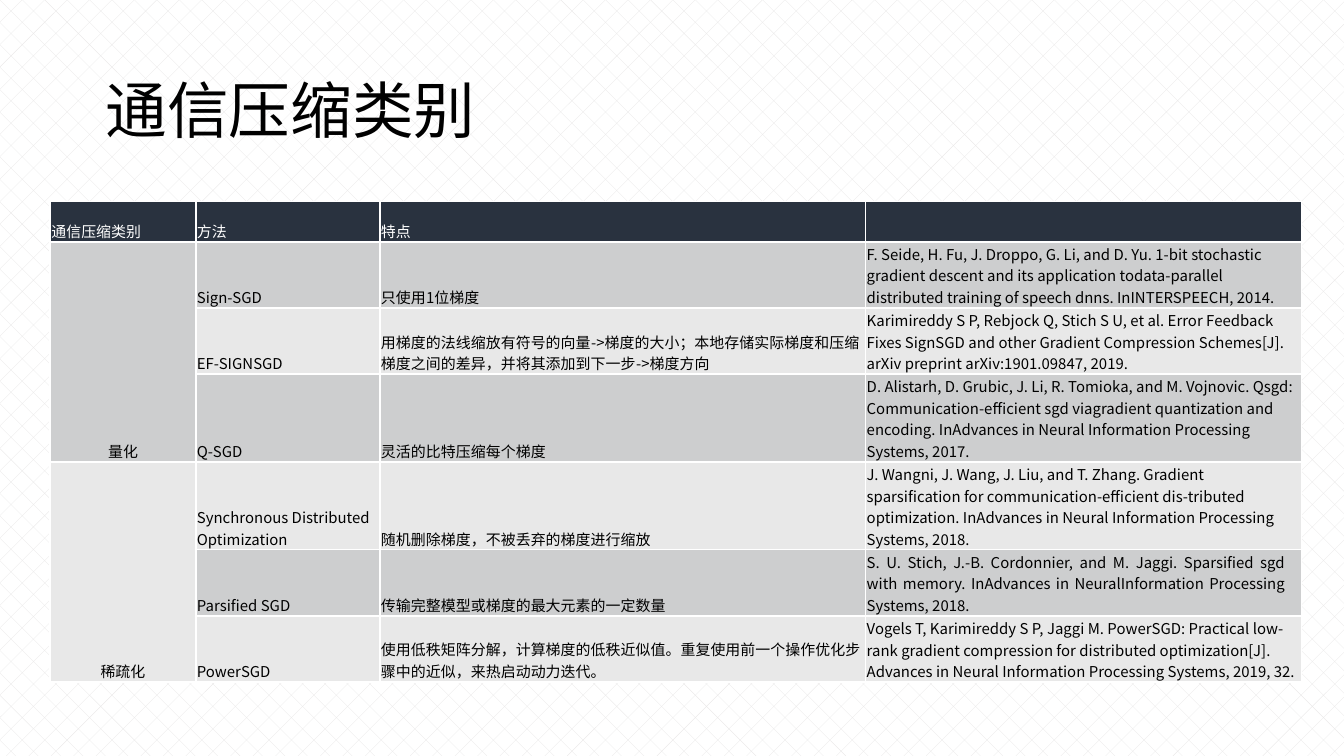
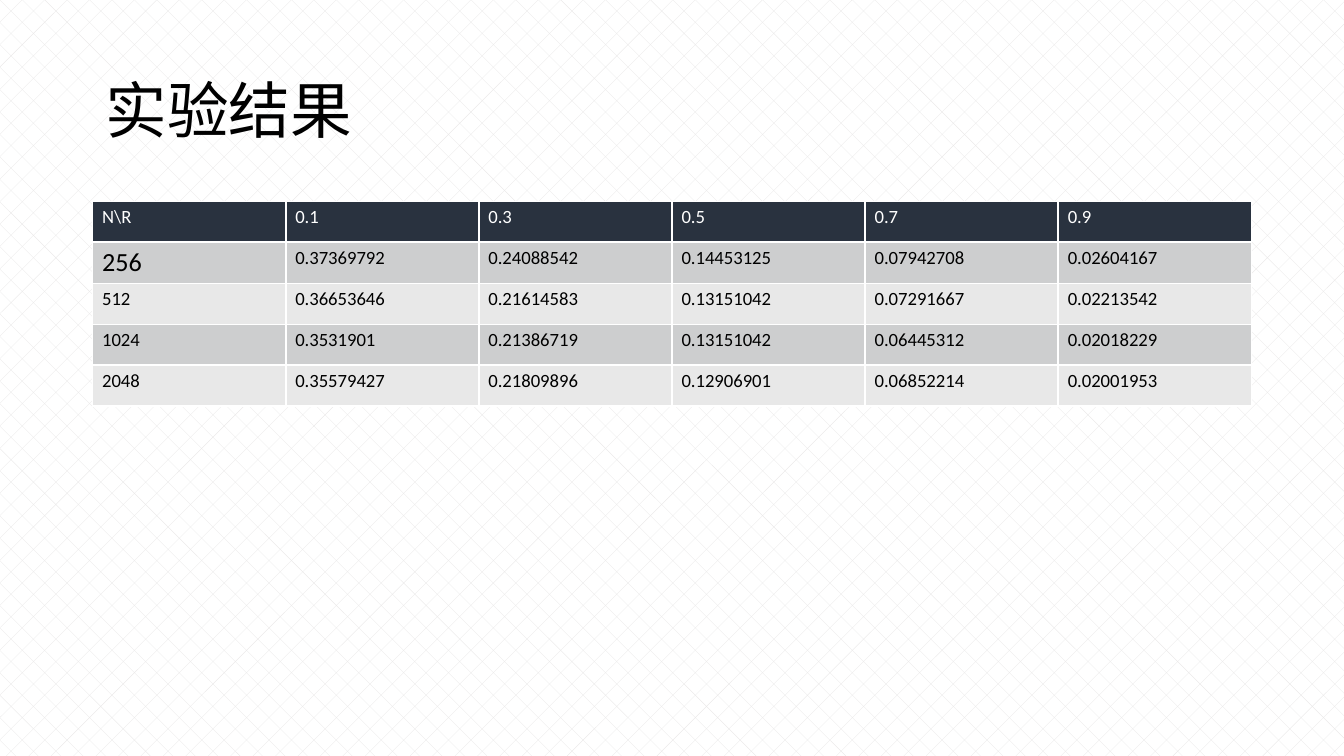
from lxml.etree import SubElement
from pptx import Presentation
from pptx.dml.color import RGBColor
from pptx.enum.dml import MSO_PATTERN as Pattern
from pptx.enum.text import MSO_ANCHOR as Anchor, PP_ALIGN as Align
from pptx.oxml import parse_xml
from pptx.oxml.ns import nsdecls, qn
from pptx.util import Cm, Pt

# Shared look
INK, PAPER, HEADER = "000000", "FFFFFF", "29323F"
BANDS = ["CDCECF", "E8E8E8"]
PATTERN_LINE = "E7E6E6"
CJK_FONT = "Noto Sans CJK SC"
HEADER_HEIGHT = 0.76
THREE_LINES, FOUR_LINES = 1.25, 1.66
SIDES = ["L", "R", "T", "B"]
color = RGBColor.from_string


def style_paragraph(paragraph, font_name, size, font_color):
    for run in paragraph.runs:
        run.font.name = font_name
        run.font.size = Pt(size)
        run.font.bold = False
        run.font.color.rgb = color(font_color)
        SubElement(run.font._element, qn("a:ea"), typeface=CJK_FONT)
    if not paragraph.runs:
        paragraph._p.get_or_add_endParaRPr().set("sz", str(size * 100))


def style_cell(cell, fill):
    cell.fill.solid()
    cell.fill.fore_color.rgb = color(fill)
    properties = cell._tc.get_or_add_tcPr()
    for index, side in enumerate(SIDES):
        properties.insert(index, parse_xml(
            f'<a:ln{side} {nsdecls("a")} w="{Pt(1)}"><a:solidFill>'
            f'<a:srgbClr val="{PAPER}"/></a:solidFill></a:ln{side}>'))


# Contents
compression_rows = [
    ["通信压缩类别", "方法", "特点", ""],
    ["量化", "Sign-SGD", "只使用1位梯度",
     "F. Seide, H. Fu, J. Droppo, G. Li, and D. Yu. 1-bit stochastic gradient descent "
     "and its application todata-parallel distributed training of speech dnns. "
     "InINTERSPEECH, 2014."],
    ["", "EF-SIGNSGD",
     "用梯度的法线缩放有符号的向量->梯度的大小；本地存储实际梯度和压缩梯度之间的差异，"
     "并将其添加到下一步->梯度方向",
     "Karimireddy S P, Rebjock Q, Stich S U, et al. Error Feedback Fixes SignSGD and "
     "other Gradient Compression Schemes[J]. arXiv preprint arXiv:1901.09847, 2019."],
    ["", "Q-SGD", "灵活的比特压缩每个梯度",
     "D. Alistarh, D. Grubic, J. Li, R. Tomioka, and M. Vojnovic. Qsgd: "
     "Communication-efficient sgd viagradient quantization and encoding. InAdvances in "
     "Neural Information Processing Systems, 2017."],
    ["稀疏化", "Synchronous Distributed Optimization",
     "随机删除梯度，不被丢弃的梯度进行缩放",
     "J. Wangni, J. Wang, J. Liu, and T. Zhang. Gradient sparsification for "
     "communication-efficient dis-tributed optimization. InAdvances in Neural "
     "Information Processing Systems, 2018."],
    ["", "Parsified SGD", "传输完整模型或梯度的最大元素的一定数量",
     "S. U. Stich, J.-B. Cordonnier, and M. Jaggi. Sparsified sgd with memory. "
     "InAdvances in NeuralInformation Processing Systems, 2018."],
    ["", "PowerSGD",
     "使用低秩矩阵分解，计算梯度的低秩近似值。重复使用前一个操作优化步骤中的近似，"
     "来热启动动力迭代。",
     "Vogels T, Karimireddy S P, Jaggi M. PowerSGD: Practical low-rank gradient "
     "compression for distributed optimization[J]. Advances in Neural Information "
     "Processing Systems, 2019, 32."],
]
result_rows = [
    ["N\\R", "0.1", "0.3", "0.5", "0.7", "0.9"],
    ["256", "0.37369792", "0.24088542", "0.14453125", "0.07942708", "0.02604167"],
    ["512", "0.36653646", "0.21614583", "0.13151042", "0.07291667", "0.02213542"],
    ["1024", "0.3531901", "0.21386719", "0.13151042", "0.06445312", "0.02018229"],
    ["2048", "0.35579427", "0.21809896", "0.12906901", "0.06852214", "0.02001953"],
]
pages = [
    {"title": "通信压缩类别", "rows": compression_rows, "left": 0.95,
     "widths": [2.75, 3.48, 9.18, 8.24],
     "heights": [HEADER_HEIGHT, THREE_LINES, THREE_LINES, FOUR_LINES,
                 FOUR_LINES, THREE_LINES, THREE_LINES],
     "font": CJK_FONT, "size": 8, "anchor": Anchor.BOTTOM,
     "margins": (0.02, 0.02, 0.02, 0)},
    {"title": "实验结果", "rows": result_rows, "left": 1.75,
     "widths": [3.65] * 6, "heights": [HEADER_HEIGHT, 0.79, 0.77, 0.77, 0.77],
     "font": "Calibri", "size": 10, "anchor": Anchor.TOP,
     "margins": (0.18, 0.09, 0.18, 0.09)},
]

presentation = Presentation()
presentation.slide_width = Cm(25.4)
presentation.slide_height = Cm(14.29)
tables = []

for page in pages:
    # Background
    slide = presentation.slides.add_slide(presentation.slide_layouts[6])
    background = slide.background.fill
    background.patterned()
    background.pattern = Pattern.DIAGONAL_BRICK
    background.fore_color.rgb = color(PATTERN_LINE)
    background.back_color.rgb = color(PAPER)

    # Title
    title = slide.shapes.add_textbox(Cm(1.75), Cm(0.76), Cm(21.9), Cm(2.76))
    text_frame = title.text_frame
    text_frame.word_wrap = True
    text_frame.vertical_anchor = Anchor.MIDDLE
    text_frame.margin_left = text_frame.margin_right = Cm(0.25)
    text_frame.text = page["title"]
    text_frame.paragraphs[0].line_spacing = 0.9
    style_paragraph(text_frame.paragraphs[0], "Arial", 33, INK)

    # Table grid
    rows, widths, heights = page["rows"], page["widths"], page["heights"]
    table = slide.shapes.add_table(
        len(rows), len(widths), Cm(page["left"]), Cm(3.81),
        Cm(sum(widths)), Cm(sum(heights))).table
    table.horz_banding = False
    for column, width in zip(table.columns, widths):
        column.width = Cm(width)
    for row, height in zip(table.rows, heights):
        row.height = Cm(height)

    # Table cells
    for row_index, values in enumerate(rows):
        is_header = row_index == 0
        fill = HEADER if is_header else BANDS[(row_index - 1) % 2]
        for column_index, value in enumerate(values):
            cell = table.cell(row_index, column_index)
            cell.text_frame.text = value
            cell.vertical_anchor = page["anchor"]
            (cell.margin_left, cell.margin_top,
             cell.margin_right, cell.margin_bottom) = map(Cm, page["margins"])
            style_cell(cell, fill)
            style_paragraph(cell.text_frame.paragraphs[0], page["font"],
                            page["size"], PAPER if is_header else INK)
    tables.append(table)

# Category cells that cover three methods each
compression_table, result_table = tables
for first_row in (1, 4):
    category = compression_table.cell(first_row, 0)
    category.merge(compression_table.cell(first_row + 2, 0))
    category.text_frame.paragraphs[0].alignment = Align.CENTER

# Widely spaced reference
wide_reference = compression_table.cell(5, 3)
wide_reference.margin_right = Cm(0.3)
wide_reference.text_frame.paragraphs[0].alignment = Align.JUSTIFY

# Larger first row label
result_table.cell(1, 0).text_frame.paragraphs[0].runs[0].font.size = Pt(14)

presentation.save("out.pptx")
